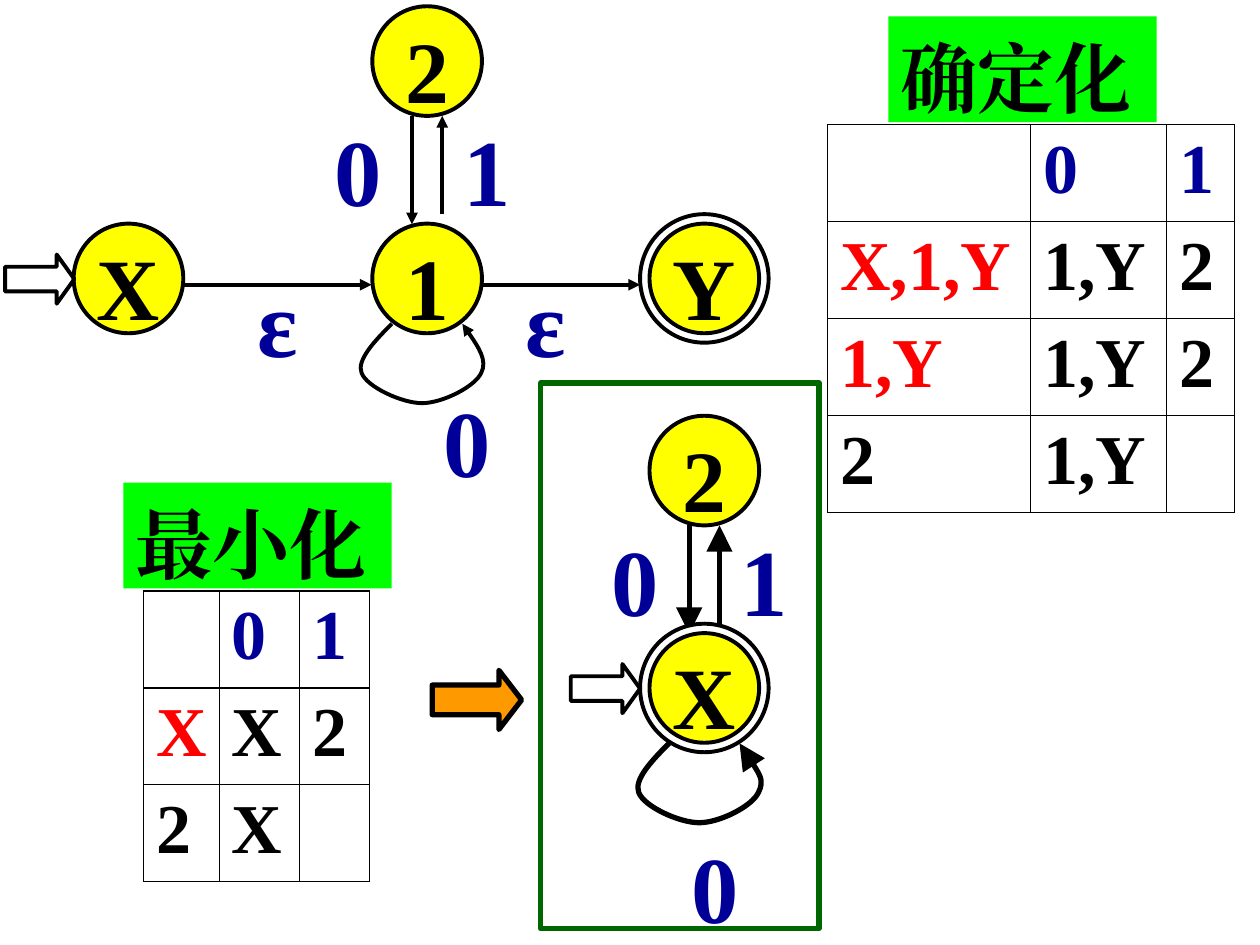
from dataclasses import dataclass

from lxml.etree import SubElement
from pptx import Presentation
from pptx.dml.color import RGBColor
from pptx.enum.shapes import MSO_CONNECTOR as Connector, MSO_SHAPE as Shape
from pptx.enum.text import MSO_ANCHOR as Anchor, PP_ALIGN as Align
from pptx.oxml.ns import qn
from pptx.util import Inches, Pt


@dataclass(frozen=True)
class Theme:
    font: str = "Times New Roman"
    black: str = "000000"
    white: str = "FFFFFF"
    yellow: str = "FFFF00"
    green: str = "00FF00"
    dark_green: str = "006600"
    orange: str = "FF9900"
    blue: str = "000099"
    red: str = "FF0000"
    state_size: int = 50
    label_size: int = 54
    title_size: int = 44
    cell_size: int = 40
    thin: float = 2.25
    thick: float = 3


THEME = Theme()
STATE, RING = 0.87, 1.02


def color(value):
    return RGBColor.from_string(value)


def write(text_frame, text, size, text_color, align=Align.LEFT):
    text_frame.text = text
    paragraph = text_frame.paragraphs[0]
    paragraph.alignment = align
    font = paragraph.runs[0].font
    font.name, font.size, font.bold = THEME.font, Pt(size), True
    font.color.rgb = color(text_color)
    properties = paragraph.runs[0].font._element
    SubElement(properties, qn("a:ea"), typeface=THEME.font)


def add_shape(slide, kind, left, top, width, height, fill=None, line=None,
              weight=THEME.thin):
    shape = slide.shapes.add_shape(
        kind, Inches(left), Inches(top), Inches(width), Inches(height))
    shape.shadow.inherit = False
    if fill:
        shape.fill.solid()
        shape.fill.fore_color.rgb = color(fill)
    else:
        shape.fill.background()
    if line:
        shape.line.color.rgb = color(line)
        shape.line.width = Pt(weight)
    else:
        shape.line.fill.background()
    return shape


def add_state(slide, name, center_x, center_y, final=False):
    if final:
        add_shape(slide, Shape.OVAL, center_x - RING / 2, center_y - RING / 2,
                  RING, RING, THEME.white, THEME.black)
    state = add_shape(slide, Shape.OVAL, center_x - STATE / 2,
                      center_y - STATE / 2, STATE, STATE,
                      THEME.yellow, THEME.black)
    text_frame = state.text_frame
    text_frame.word_wrap = False
    text_frame.vertical_anchor = Anchor.MIDDLE
    text_frame.margin_top = Inches(0.16)
    write(text_frame, name, THEME.state_size, THEME.black, Align.CENTER)


def add_block_arrow(slide, left, top, width, height, head, fill=None,
                    weight=THEME.thin):
    arrow = add_shape(slide, Shape.RIGHT_ARROW, left, top, width, height,
                      fill, THEME.black, weight)
    arrow.adjustments[0] = 0.5
    # The head is given as a length, the adjustment as a share of the height
    arrow.adjustments[1] = head / height


def style_arrow(shape, weight):
    shape.line.color.rgb = color(THEME.black)
    shape.line.width = Pt(weight)
    size = "lg" if weight == THEME.thick else "med"
    SubElement(shape.line._get_or_add_ln(), qn("a:tailEnd"),
               type="triangle", w=size, len=size)


def add_arrow(slide, x1, y1, x2, y2, weight=THEME.thin):
    arrow = slide.shapes.add_connector(
        Connector.STRAIGHT, Inches(x1), Inches(y1), Inches(x2), Inches(y2))
    style_arrow(arrow, weight)
    SubElement(arrow._element.spPr, qn("a:effectLst"))


def add_loop(slide, center_x, top, weight):
    offsets = [(-0.28, 0), (-0.42, 0.14), (-0.56, 0.29), (-0.52, 0.39),
               (-0.48, 0.5), (-0.2, 0.63), (-0.04, 0.63), (0.12, 0.63),
               (0.38, 0.5), (0.43, 0.39), (0.48, 0.29), (0.38, 0.14),
               (0.28, 0)]
    points = [(Inches(center_x + x), Inches(top + y)) for x, y in offsets]
    builder = slide.shapes.build_freeform(*points[0])
    builder.add_line_segments(points[1:], close=False)
    loop = builder.convert_to_shape()
    loop.shadow.inherit = False
    loop.fill.background()
    # Each three points make one cubic curve
    segments = list(loop._element.iter(qn("a:lnTo")))
    outline = segments[0].getparent()
    for start in range(0, len(segments), 3):
        curve = SubElement(outline, qn("a:cubicBezTo"))
        for segment in segments[start:start + 3]:
            curve.append(segment[0])
            outline.remove(segment)
    style_arrow(loop, weight)


def add_label(slide, text, left, top):
    label = slide.shapes.add_textbox(
        Inches(left), Inches(top), Inches(0.87), Inches(1))
    label.text_frame.word_wrap = True
    label.text_frame.margin_top = Inches(0.13)
    write(label.text_frame, text, THEME.label_size, THEME.blue, Align.CENTER)


def add_title(slide, text, left, top):
    title = add_shape(slide, Shape.RECTANGLE, left, top, 2.13, 0.84,
                      THEME.green)
    title.text_frame.vertical_anchor = Anchor.TOP
    title.text_frame.margin_top = Inches(0.11)
    write(title.text_frame, text, THEME.title_size, THEME.black)


def add_borders(cell):
    properties = cell._tc.get_or_add_tcPr()
    for side in ("lnL", "lnR", "lnT", "lnB"):
        border = SubElement(properties, qn(f"a:{side}"), w=str(Pt(0.75)))
        fill = SubElement(border, qn("a:solidFill"))
        SubElement(fill, qn("a:srgbClr"), val=THEME.black)


def add_transitions(slide, left, top, widths, rows, red_rows):
    row_height = 0.77
    table = slide.shapes.add_table(
        len(rows), len(widths), Inches(left), Inches(top),
        Inches(sum(widths)), Inches(row_height * len(rows))).table
    for column, width in zip(table.columns, widths):
        column.width = Inches(width)
    for i, row in enumerate(rows):
        table.rows[i].height = Inches(row_height)
        for j, text in enumerate(row):
            cell = table.cell(i, j)
            add_borders(cell)
            cell.fill.background()
            if text:
                is_red = j == 0 and i in red_rows
                text_color = (THEME.blue if i == 0 else
                              THEME.red if is_red else THEME.black)
                write(cell.text_frame, text, THEME.cell_size, text_color)


def add_round_trip(slide, center_x, top, weight):
    """State 2 with its arrows from and to the state below it."""
    add_arrow(slide, center_x - 0.12, top + 0.87, center_x - 0.12,
              top + 1.73, weight)
    add_arrow(slide, center_x + 0.12, top + 1.65, center_x + 0.12,
              top + 0.87, weight)
    add_state(slide, "2", center_x, top + STATE / 2)
    add_label(slide, "0", center_x - 0.98, top + 0.71)
    add_label(slide, "1", center_x + 0.04, top + 0.71)


def main():
    presentation = Presentation()
    presentation.slide_width, presentation.slide_height = Inches(10), Inches(7.5)
    slide = presentation.slides.add_slide(presentation.slide_layouts[6])

    # Automaton with empty moves
    middle, right, row = 3.39, 5.59, 2.21
    add_state(slide, "X", 1.02, row)
    add_block_arrow(slide, 0.04, 2.02, 0.55, 0.39, 0.14)
    add_arrow(slide, 1.46, 2.26, 2.95, 2.26)
    add_state(slide, "Y", right, row, final=True)
    add_state(slide, "1", middle, row)
    add_arrow(slide, 3.82, 2.26, 5.08, 2.26)
    for left in (1.77, 3.9):
        add_label(slide, "ε", left, 1.96)
    add_loop(slide, middle, 2.57, THEME.thin)
    add_label(slide, "0", 3.27, 2.91)
    add_round_trip(slide, middle, 0.05, THEME.thin)

    # Transition tables
    add_transitions(slide, 6.57, 0.99, (1.61, 1.08, 0.54),
                    [("", "0", "1"), ("X,1,Y", "1,Y", "2"),
                     ("1,Y", "1,Y", "2"), ("2", "1,Y", "")], {1, 2})
    add_title(slide, "确定化", 7.05, 0.13)
    add_transitions(slide, 1.14, 4.69, (0.6, 0.64, 0.55),
                    [("", "0", "1"), ("X", "X", "2"), ("2", "X", "")], {1})
    add_title(slide, "最小化", 0.98, 3.83)

    # Minimal automaton in its frame
    add_round_trip(slide, right, 3.3, THEME.thick)
    add_block_arrow(slide, 4.53, 5.27, 0.55, 0.39, 0.14)
    add_state(slide, "X", right, 5.46, final=True)
    add_loop(slide, right, 5.9, THEME.thick)
    add_label(slide, "0", 5.24, 6.45)
    add_shape(slide, Shape.RECTANGLE, 4.29, 3.04, 2.21, 4.33,
              line=THEME.dark_green, weight=THEME.thick)
    add_block_arrow(slide, 3.43, 5.32, 0.71, 0.47, 0.18, THEME.orange,
                    THEME.thick)

    presentation.save("out.pptx")


if __name__ == "__main__":
    main()
